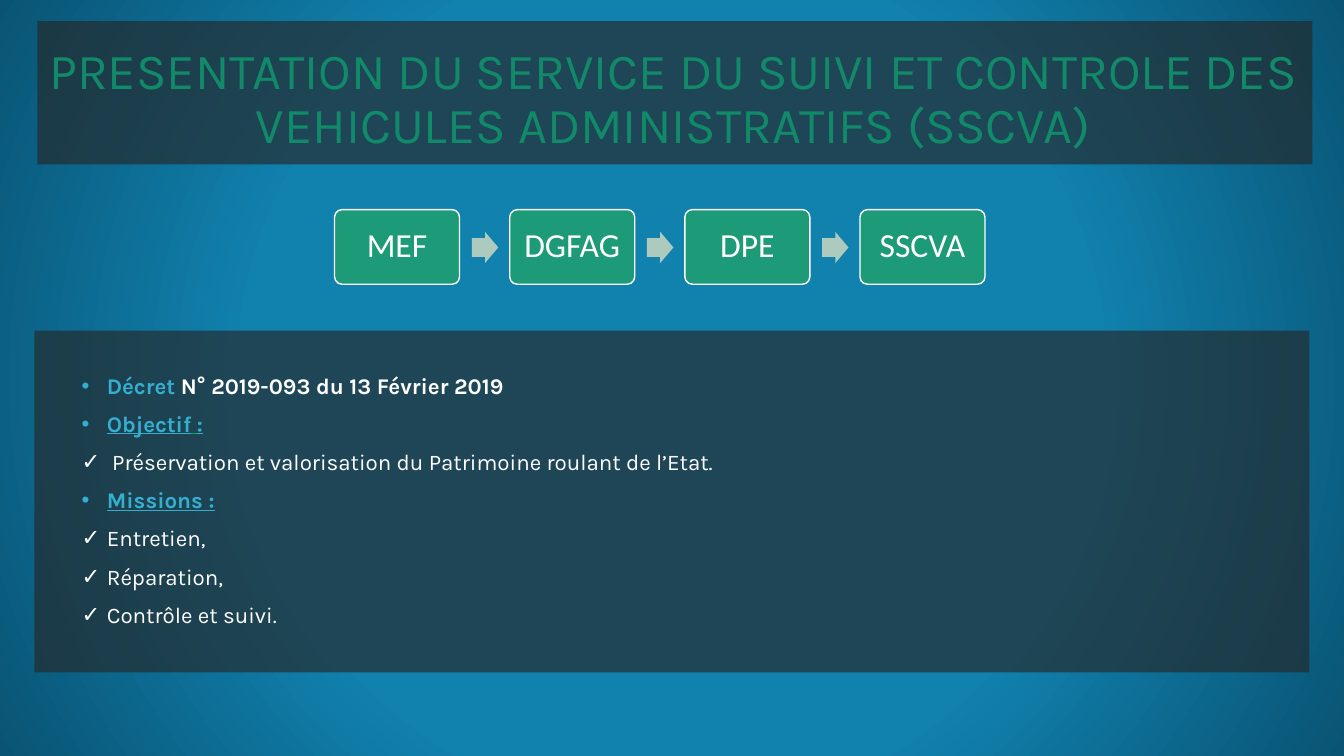
from dataclasses import dataclass

from lxml.etree import SubElement
from pptx import Presentation
from pptx.dml.color import RGBColor
from pptx.enum.shapes import MSO_SHAPE as Preset
from pptx.enum.text import MSO_ANCHOR as Anchor, MSO_AUTO_SIZE as AutoSize, PP_ALIGN as Align
from pptx.oxml.ns import qn
from pptx.util import Pt

WHITE = RGBColor(0xFF, 0xFF, 0xFF)
SKY = RGBColor(0x35, 0xAF, 0xD0)
LEAF = RGBColor(0x00, 0xB0, 0x50)
GREEN = RGBColor(0x1D, 0x9A, 0x78)
SAGE = RGBColor(0xAC, 0xCA, 0xBE)
CHARCOAL = RGBColor(0x26, 0x26, 0x26)
OCEAN = RGBColor(0x11, 0x81, 0xAE)
DEEP_OCEAN = RGBColor(0x09, 0x54, 0x74)
TITLE_DARK = RGBColor(0x0C, 0x61, 0x4A)
TITLE_MID = RGBColor(0x11, 0x8A, 0x69)
TITLE_LIGHT = RGBColor(0x14, 0xA3, 0x7C)

TITLE = "PRESENTATION DU SERVICE DU SUIVI ET CONTROLE DES VEHICULES ADMINISTRATIFS (SSCVA)"
OFFICES = ("MEF", "DGFAG", "DPE", "SSCVA")
OFFICE_PITCH = 125.1


@dataclass(frozen=True)
class Box:
    left: float
    top: float
    width: float
    height: float

    def shifted(self, distance: float) -> "Box":
        return Box(self.left + distance, self.top, self.width, self.height)


@dataclass(frozen=True)
class Span:
    text: str
    color: RGBColor = WHITE
    bold: bool = False
    underline: bool = False


@dataclass(frozen=True)
class Item:
    bullet: str
    spans: tuple[Span, ...]


TITLE_PANEL = Box(26.64, 15.12, 910.8, 102.24)
TITLE_BOX = Box(26.64, 5.76, 908.64, 131.76)
BODY_BOX = Box(24.48, 236.16, 910.8, 244.08)
OFFICE_BOX = Box(239, 149.76, 89.28, 53.28)
ARROW_BOX = Box(337, 165.6, 18.9, 22.3)

ITEMS = (
    Item("•", (Span("Décret ", SKY, True), Span("N° 2019-093 du 13 Février 2019", WHITE, True))),
    Item("•", (Span("Objectif", SKY, True, True), Span(" ", LEAF, True, True),
               Span(":", SKY, True, True))),
    Item("✓", (Span(" Préservation et valorisation du Patrimoine roulant de l’Etat."),)),
    Item("•", (Span("Missions :", SKY, True, True),)),
    Item("✓", (Span("Entretien,"),)),
    Item("✓", (Span("Réparation,"),)),
    Item("✓", (Span("Contrôle et suivi."),)),
)


def place(shape, box: Box) -> None:
    shape.left, shape.top = Pt(box.left), Pt(box.top)
    shape.width, shape.height = Pt(box.width), Pt(box.height)


def fill_radial(fill, holder, stops: list[tuple[int, RGBColor]]) -> None:
    """Give the fill inside the holder element a gradient that spreads from the centre."""
    fill.gradient()
    gradient = next(holder.iter(qn("a:gradFill")))
    for child in list(gradient):
        gradient.remove(child)
    stop_list = SubElement(gradient, qn("a:gsLst"))
    for percent, color in stops:
        stop = SubElement(stop_list, qn("a:gs"), pos=str(percent * 1000))
        SubElement(stop, qn("a:srgbClr"), val=str(color))
    circle = SubElement(gradient, qn("a:path"), path="circle")
    SubElement(circle, qn("a:fillToRect"), l="50000", t="50000", r="50000", b="50000")


def fill_smoky(shape) -> None:
    """Fill with the dark, partly transparent panel colour."""
    shape.fill.solid()
    shape.fill.fore_color.rgb = CHARCOAL
    color = next(shape.element.spPr.iter(qn("a:srgbClr")))
    SubElement(color, qn("a:alpha"), val="64000")


def add_plain_shape(page, preset: Preset, box: Box):
    shape = page.shapes.add_shape(preset, Pt(0), Pt(0), Pt(1), Pt(1))
    place(shape, box)
    shape.shadow.inherit = False
    shape.line.fill.background()
    return shape


def format_frame(frame, anchor: Anchor) -> None:
    frame.word_wrap = True
    frame.auto_size = AutoSize.NONE
    frame.vertical_anchor = anchor


def format_title(page) -> None:
    panel = add_plain_shape(page, Preset.RECTANGLE, TITLE_PANEL)
    fill_smoky(panel)
    title = page.shapes.title
    title.element.addprevious(panel.element)
    place(title, TITLE_BOX)
    frame = title.text_frame
    frame.text = TITLE
    format_frame(frame, Anchor.MIDDLE)
    para = frame.paragraphs[0]
    para.alignment = Align.CENTER
    para.line_spacing = 0.9
    font = para.runs[0].font
    font.name, font.size = "Karla", Pt(36)
    fill_radial(font.fill, title.element,
                [(0, TITLE_DARK), (50, TITLE_MID), (100, TITLE_LIGHT)])


def write_item(para, item: Item) -> None:
    para.alignment = Align.LEFT
    para.line_spacing = 0.9
    properties = para._p.get_or_add_pPr()
    properties.set("marL", str(Pt(44.64)))
    properties.set("indent", str(Pt(-18)))
    SubElement(properties, qn("a:buChar"), char=item.bullet)
    for span in item.spans:
        run = para.add_run()
        run.text = span.text
        font = run.font
        font.name, font.size = "Karla", Pt(16)
        font.bold, font.underline = span.bold, span.underline
        font.color.rgb = span.color


def format_body(page) -> None:
    body = page.placeholders[1]
    place(body, BODY_BOX)
    fill_smoky(body)
    frame = body.text_frame
    format_frame(frame, Anchor.MIDDLE)
    for index, item in enumerate(ITEMS):
        para = frame.add_paragraph() if index else frame.paragraphs[0]
        para.space_before = Pt(10 if index else 0)
        write_item(para, item)


def add_office(page, name: str, box: Box) -> None:
    office = add_plain_shape(page, Preset.ROUNDED_RECTANGLE, box)
    office.adjustments[0] = 0.1
    office.fill.solid()
    office.fill.fore_color.rgb = GREEN
    office.line.color.rgb = WHITE
    office.line.width = Pt(1)
    frame = office.text_frame
    frame.text = name
    format_frame(frame, Anchor.MIDDLE)
    para = frame.paragraphs[0]
    para.alignment = Align.CENTER
    para.line_spacing = 0.9
    font = para.runs[0].font
    font.name, font.size = "Calibri", Pt(24)
    font.color.rgb = WHITE


def add_arrow(page, box: Box) -> None:
    arrow = add_plain_shape(page, Preset.RIGHT_ARROW, box)
    arrow.adjustments[0] = 0.6
    arrow.adjustments[1] = 0.5
    arrow.fill.solid()
    arrow.fill.fore_color.rgb = SAGE


def main() -> None:
    deck = Presentation()
    deck.slide_width, deck.slide_height = Pt(960), Pt(540)
    page = deck.slides.add_slide(deck.slide_layouts[1])
    fill_radial(page.background.fill, page.element,
                [(0, OCEAN), (55, OCEAN), (100, DEEP_OCEAN)])
    format_title(page)
    format_body(page)
    for index, name in enumerate(OFFICES):
        if index:
            add_arrow(page, ARROW_BOX.shifted((index - 1) * OFFICE_PITCH))
        add_office(page, name, OFFICE_BOX.shifted(index * OFFICE_PITCH))
    deck.save("out.pptx")


if __name__ == "__main__":
    main()
